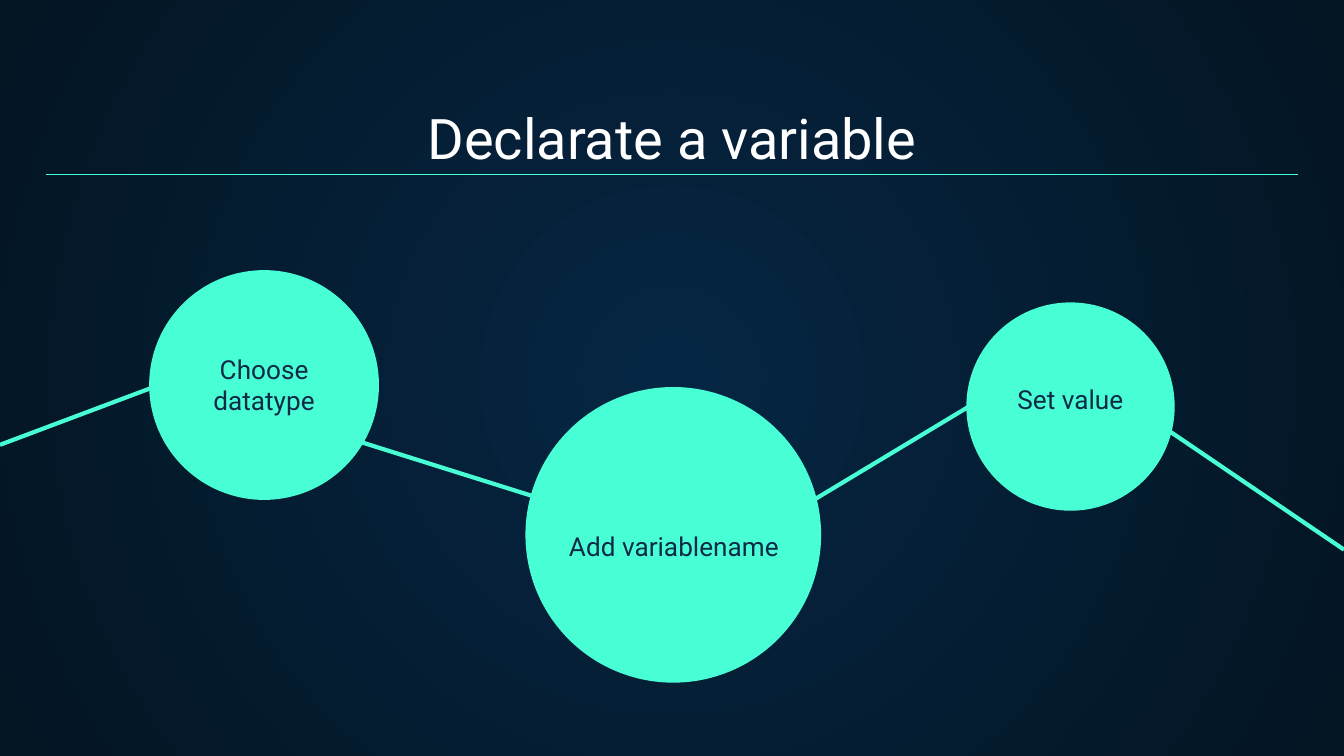
from dataclasses import dataclass

from lxml.etree import SubElement
from pptx import Presentation
from pptx.dml.color import RGBColor
from pptx.enum.shapes import MSO_CONNECTOR, MSO_SHAPE
from pptx.enum.text import MSO_ANCHOR, PP_ALIGN
from pptx.oxml import parse_xml
from pptx.oxml.ns import nsdecls, qn
from pptx.util import Inches, Pt


@dataclass(frozen=True)
class Theme:
    """Colours, font and type sizes of the slide."""
    center: RGBColor = RGBColor.from_string("052643")
    edge: RGBColor = RGBColor.from_string("041523")
    accent: RGBColor = RGBColor.from_string("48FFD5")
    title: RGBColor = RGBColor.from_string("FFFFFF")
    label: RGBColor = RGBColor.from_string("0E2A47")
    font: str = "Roboto"
    title_size: int = 30
    label_size: int = 14


THEME = Theme()


def set_background(slide):
    """Fill the background with a radial gradient."""
    fill = slide.background.fill
    fill.gradient()
    for stop, color in zip(fill.gradient_stops, (THEME.center, THEME.edge)):
        stop.color.rgb = color
    lin = slide.element.xpath(".//p:bg//a:lin")[0]
    radial = parse_xml(
        f'<a:path {nsdecls("a")} path="circle">'
        '<a:fillToRect l="50000" t="50000" r="50000" b="50000"/></a:path>'
    )
    lin.getparent().replace(lin, radial)


def add_text(slide, text, box, size, color, anchor=MSO_ANCHOR.TOP):
    """Add a centred text box."""
    tf = slide.shapes.add_textbox(*map(Inches, box)).text_frame
    tf.word_wrap = True
    tf.vertical_anchor = anchor
    tf.margin_left = tf.margin_right = Inches(0.1)
    tf.margin_top = tf.margin_bottom = Inches(0.1)
    tf.text = text
    p = tf.paragraphs[0]
    p.alignment = PP_ALIGN.CENTER
    font = p.runs[0].font
    font.name = THEME.font
    font.size = Pt(size)
    font.color.rgb = color


def add_circle(slide, left, top, diameter):
    """Add a plain accent circle."""
    sp = slide.shapes.add_shape(
        MSO_SHAPE.OVAL, *map(Inches, (left, top, diameter, diameter)))
    sp.shadow.inherit = False
    sp.fill.solid()
    sp.fill.fore_color.rgb = THEME.accent
    sp.line.fill.background()


def add_line(slide, start, end, width):
    """Add a straight accent line without a shadow."""
    line = slide.shapes.add_connector(
        MSO_CONNECTOR.STRAIGHT, *map(Inches, (*start, *end)))
    line.line.color.rgb = THEME.accent
    line.line.width = Pt(width)
    SubElement(line._element.spPr, qn("a:effectLst"))


def main():
    """Build the slide and save it."""
    prs = Presentation()
    prs.slide_width = Inches(10)
    prs.slide_height = prs.slide_width * 9 // 16
    slide = prs.slides.add_slide(prs.slide_layouts[6])
    set_background(slide)

    add_text(slide, "Declarate a variable", (0.34, 0.71, 9.32, 0.66),
             THEME.title_size, THEME.title, MSO_ANCHOR.BOTTOM)

    circles = [(1.11, 2.01, 1.71), (3.91, 2.88, 2.2), (7.19, 2.25, 1.55)]
    for circle in circles:
        add_circle(slide, *circle)

    links = [
        ((2.56, 3.25), (4.31, 3.8)),
        ((5.49, 4.06), (7.45, 2.88)),
        ((1.41, 2.78), (0, 3.31)),
        ((10, 4.09), (8.35, 2.97)),
    ]
    for start, end in links:
        add_line(slide, start, end, 2.25)

    labels = [
        ("Choose datatype", (1.44, 2.53, 1.05, 0.56)),
        ("Add variablename", (3.88, 3.85, 2.27, 0.21)),
        ("Set value", (6.83, 2.75, 2.27, 0.21)),
    ]
    for text, box in labels:
        add_text(slide, text, box, THEME.label_size, THEME.label)

    add_line(slide, (0.34, 1.3), (9.66, 1.3), 0.75)
    prs.save("out.pptx")


if __name__ == "__main__":
    main()
